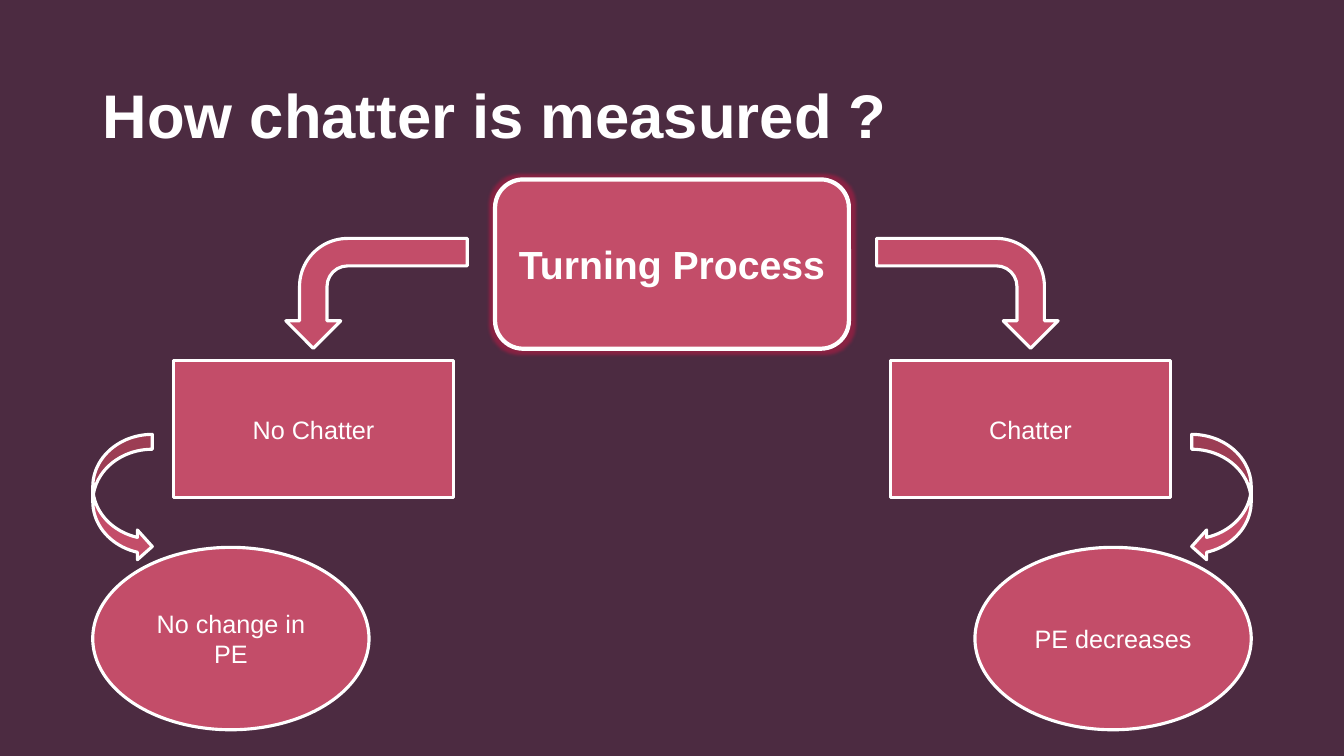
from dataclasses import dataclass

from lxml import etree
from pptx import Presentation
from pptx.dml.color import RGBColor
from pptx.enum.shapes import MSO_SHAPE
from pptx.enum.text import MSO_ANCHOR, MSO_AUTO_SIZE, PP_ALIGN
from pptx.oxml.ns import qn
from pptx.util import Inches, Pt

RECT, ROUNDED, OVAL = MSO_SHAPE.RECTANGLE, MSO_SHAPE.ROUNDED_RECTANGLE, MSO_SHAPE.OVAL
BENT, CURVED = MSO_SHAPE.BENT_ARROW, MSO_SHAPE.CURVED_RIGHT_ARROW
LEFT, CENTER, MIDDLE = PP_ALIGN.LEFT, PP_ALIGN.CENTER, MSO_ANCHOR.MIDDLE
TITLE_ONLY = 5
SLIDE_W, SLIDE_H = 13.33, 7.5


@dataclass(frozen=True)
class Theme:
    font: str = "Arial"
    background: str = "4C2B41"
    accent: str = "C34D69"
    light: str = "FFFFFF"
    glow: str = "B01C44"
    title_size: float = 44
    root_size: float = 28
    node_size: float = 18
    root_line: float = 3
    line: float = 2.25


def rgb(value):
    return RGBColor.from_string(value)


def write_text(tf, text, *, font, size, color, bold=False, align=CENTER):
    tf.word_wrap = True
    tf.auto_size = MSO_AUTO_SIZE.NONE
    tf.vertical_anchor = MIDDLE
    p = tf.paragraphs[0]
    p.alignment = align
    r = p.add_run()
    r.text = text
    r.font.name = font
    r.font.size = Pt(size)
    r.font.bold = bold
    r.font.color.rgb = rgb(color)


def mirror(box):
    """Reflect a box across the vertical centre line of the slide."""
    x, y, w, h = box
    return SLIDE_W - x - w, y, w, h


class SlideBuilder:
    def __init__(self, prs, theme):
        self.theme = theme
        self.slide = prs.slides.add_slide(prs.slide_layouts[TITLE_ONLY])
        fill = self.slide.background.fill
        fill.solid()
        fill.fore_color.rgb = rgb(theme.background)

    def title(self, text, box):
        sp = self.slide.shapes.title
        sp.left, sp.top, sp.width, sp.height = map(Inches, box)
        write_text(sp.text_frame, text, font=self.theme.font, bold=True, align=LEFT,
                   size=self.theme.title_size, color=self.theme.light)

    def shape(self, kind, box, line=None):
        sp = self.slide.shapes.add_shape(kind, *map(Inches, box))
        sp.shadow.inherit = False
        sp.fill.solid()
        sp.fill.fore_color.rgb = rgb(self.theme.accent)
        sp.line.color.rgb = rgb(self.theme.light)
        sp.line.width = Pt(line or self.theme.line)
        return sp

    def node(self, kind, text, box, size=None, bold=False, line=None):
        sp = self.shape(kind, box, line)
        write_text(sp.text_frame, text, font=self.theme.font, bold=bold,
                   size=size or self.theme.node_size, color=self.theme.light)
        return sp

    def arrow(self, kind, box, rotation=0, flip=None):
        """Add a block arrow; flip is None, "flipH" or "flipV"."""
        sp = self.shape(kind, box)
        sp.rotation = rotation
        if flip:
            sp.element.spPr.find(qn("a:xfrm")).set(flip, "1")

    def glow(self, sp, radius):
        effects = sp.element.spPr.find(qn("a:effectLst"))
        glow = etree.SubElement(effects, qn("a:glow"), rad=str(Pt(radius)))
        color = etree.SubElement(glow, qn("a:srgbClr"), val=self.theme.glow)
        etree.SubElement(color, qn("a:alpha"), val="60000")

    def branch(self, cause, effect, on_right):
        """Add one side of the tree: bent arrow, cause, curved arrow, effect."""
        place = mirror if on_right else tuple
        self.node(RECT, cause, place((1.72, 3.58, 2.78, 1.36)))
        self.node(OVAL, effect, place((0.92, 5.43, 2.74, 1.81)))
        self.arrow(BENT, place((3.19, 2.01, 1.09, 1.8)), rotation=90,
                   flip=None if on_right else "flipV")
        self.arrow(CURVED, place((0.92, 4.31, 0.59, 1.26)),
                   flip="flipH" if on_right else None)


def main():
    prs = Presentation()
    prs.slide_width, prs.slide_height = Inches(SLIDE_W), Inches(SLIDE_H)
    theme = Theme()
    s = SlideBuilder(prs, theme)
    s.title("How chatter is measured ?", (0.92, 0.4, 11.5, 1.45))
    root = s.node(ROUNDED, "Turning Process", (4.91, 1.78, 3.51, 1.68),
                  size=theme.root_size, bold=True, line=theme.root_line)
    s.glow(root, 5)
    s.branch("No Chatter", "No change in PE", on_right=False)
    s.branch("Chatter", "PE decreases", on_right=True)
    prs.save("out.pptx")


if __name__ == "__main__":
    main()
